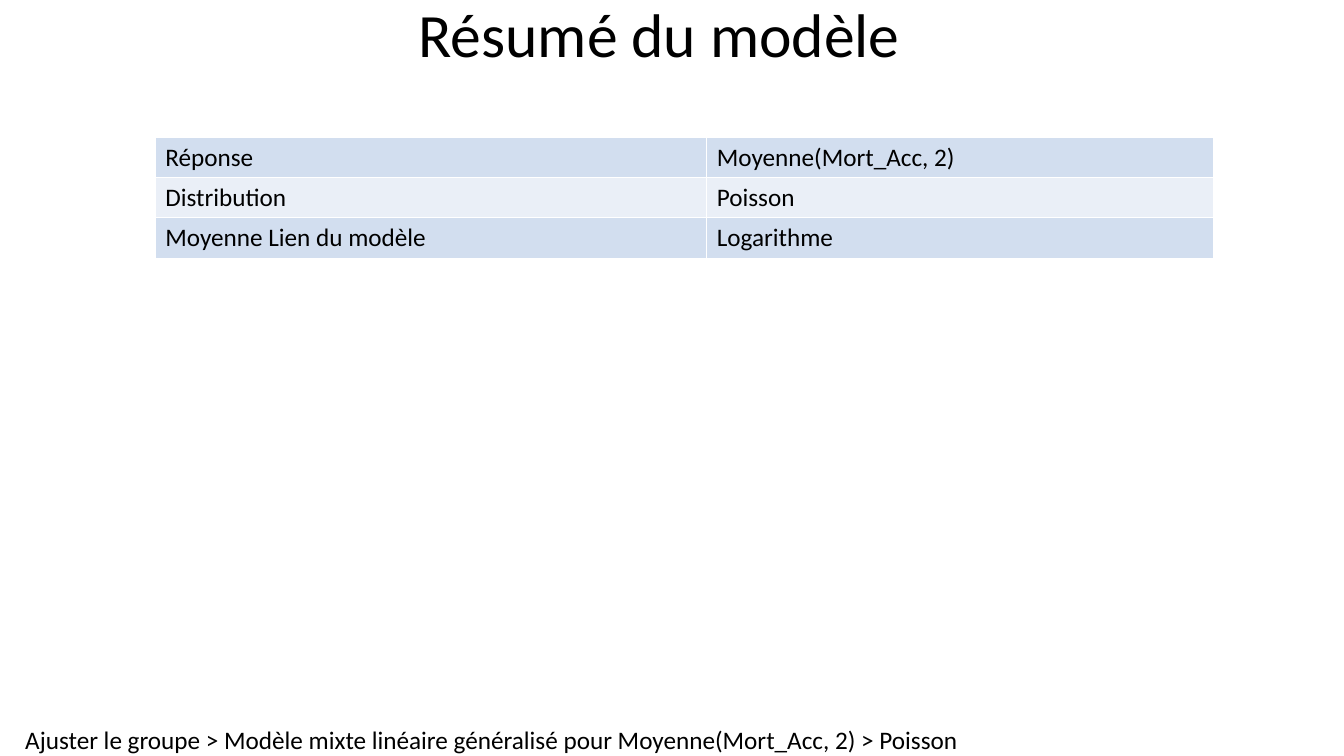
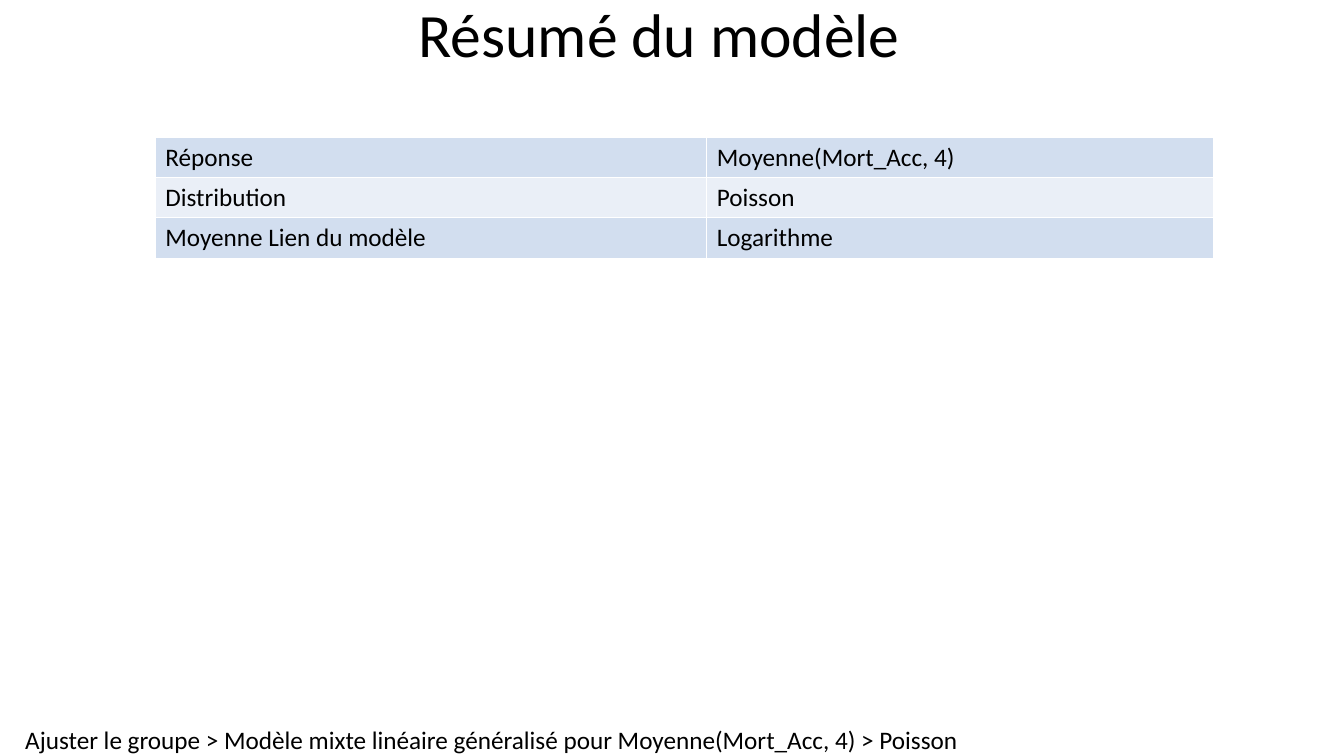
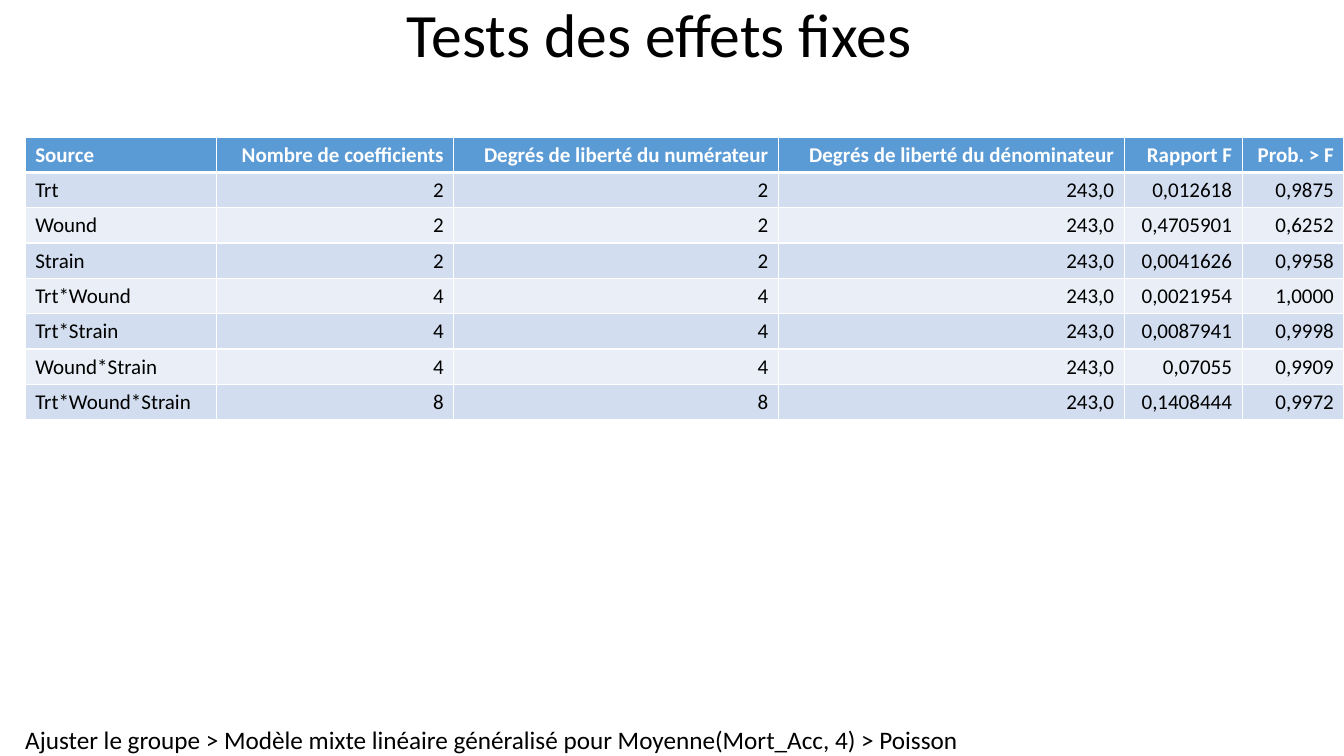
import pptx
import pptx.dml.color
import pptx.enum.text
import pptx.oxml
import pptx.oxml.ns
import pptx.util
from pptx.util import Inches

# Shared style
FONT = "Calibri"
BLACK, WHITE = "000000", "FFFFFF"
HEADER_FILL = "5B9BD5"
BAND_FILLS = ("D2DEEF", "EAEFF7")
TABLE_TOP = 1.36
ALIGN = pptx.enum.text.PP_ALIGN
ANCHOR = pptx.enum.text.MSO_ANCHOR
AUTO_SIZE = pptx.enum.text.MSO_AUTO_SIZE

# Content
FOOTER = "Ajuster le groupe > Modèle mixte linéaire généralisé pour {} > Poisson"
RESPONSES = ("Moyenne(Mort_Acc, 2)", "Moyenne(Mort_Acc, 4)")
EFFECT_HEADER = ("Source", "Nombre de coefficients", "Degrés de liberté du numérateur",
                 "Degrés de liberté du dénominateur", "Rapport F", "Prob. > F")
EFFECTS = [
    ("Trt", "2", "2", "243,0", "0,012618", "0,9875"),
    ("Wound", "2", "2", "243,0", "0,4705901", "0,6252"),
    ("Strain", "2", "2", "243,0", "0,0041626", "0,9958"),
    ("Trt*Wound", "4", "4", "243,0", "0,0021954", "1,0000"),
    ("Trt*Strain", "4", "4", "243,0", "0,0087941", "0,9998"),
    ("Wound*Strain", "4", "4", "243,0", "0,07055", "0,9909"),
    ("Trt*Wound*Strain", "8", "8", "243,0", "0,1408444", "0,9972"),
]


def summary_rows(response):
    return [("Réponse", response), ("Distribution", "Poisson"),
            ("Moyenne Lien du modèle", "Logarithme")]


SUMMARY_LAYOUT = {"left": 1.54, "widths": (5.47, 5.03), "row_height": 0.4, "size": 18}
EFFECTS_LAYOUT = {"left": 0.25, "widths": (1.9, 2.35, 3.22, 3.43, 1.17, 1.01),
                  "row_height": 0.35, "size": 15, "header": EFFECT_HEADER,
                  "value_align": ALIGN.RIGHT}
SLIDES = [("Résumé du modèle", response, summary_rows(response), SUMMARY_LAYOUT)
          for response in RESPONSES]
SLIDES.append(("Tests des effets fixes", RESPONSES[1], EFFECTS, EFFECTS_LAYOUT))


def color(hex_value):
    return pptx.dml.color.RGBColor.from_string(hex_value)


def write(frame, text, size, hex_value=BLACK, bold=False, align=ALIGN.LEFT):
    frame.text = text
    para = frame.paragraphs[0]
    para.alignment = align
    font = para.runs[0].font
    font.name, font.size, font.bold = FONT, pptx.util.Pt(size), bold
    font.color.rgb = color(hex_value)
    return para


def add_title(page, text):
    title = page.shapes.title
    title.left, title.top = Inches(0), Inches(0)
    title.width, title.height = Inches(13.08), Inches(0.75)
    frame = title.text_frame
    frame.auto_size = AUTO_SIZE.NONE
    frame.vertical_anchor = ANCHOR.MIDDLE
    write(frame, text, 44, align=ALIGN.CENTER).line_spacing = 0.9


def add_footer(page, response):
    box = page.shapes.add_textbox(Inches(0.25), Inches(7.19), Inches(9.29), Inches(0.31))
    frame = box.text_frame
    frame.margin_left = frame.margin_top = frame.margin_right = frame.margin_bottom = 0
    frame.word_wrap = False
    frame.auto_size = AUTO_SIZE.SHAPE_TO_FIT_TEXT
    write(frame, FOOTER.format(response), 18)


def set_borders(cell, bottom_width):
    properties = cell._tc.get_or_add_tcPr()
    widths = {"lnL": 1, "lnR": 1, "lnT": 1, "lnB": bottom_width}
    for position, (tag, width) in enumerate(widths.items()):
        properties.insert(position, pptx.oxml.parse_xml(
            f'<a:{tag} {pptx.oxml.ns.nsdecls("a")} w="{pptx.util.Pt(width)}">'
            f'<a:solidFill><a:srgbClr val="{WHITE}"/></a:solidFill></a:{tag}>'))


def add_table(page, body, left, widths, row_height, size, header=None,
              value_align=ALIGN.LEFT):
    rows = ([header] if header else []) + body
    table = page.shapes.add_table(
        len(rows), len(widths), Inches(left), Inches(TABLE_TOP),
        Inches(sum(widths)), Inches(row_height * len(rows))).table
    table.first_row = header is not None
    table.horz_banding = False
    for column, width in zip(table.columns, widths):
        column.width = Inches(width)
    first_body_row = len(rows) - len(body)
    for row_index, row in enumerate(rows):
        table.rows[row_index].height = Inches(row_height)
        is_header = row_index < first_body_row
        fill = HEADER_FILL if is_header else BAND_FILLS[(row_index - first_body_row) % 2]
        for column_index, text in enumerate(row):
            cell = table.cell(row_index, column_index)
            cell.fill.solid()
            cell.fill.fore_color.rgb = color(fill)
            set_borders(cell, 3 if is_header else 1)
            write(cell.text_frame, text, size, WHITE if is_header else BLACK,
                  is_header, value_align if column_index else ALIGN.LEFT)


def main():
    deck = pptx.Presentation()
    deck.slide_width, deck.slide_height = Inches(13.33), Inches(7.5)
    title_only = deck.slide_layouts[5]
    for title, response, body, layout in SLIDES:
        page = deck.slides.add_slide(title_only)
        add_footer(page, response)
        add_title(page, title)
        add_table(page, body, **layout)
    deck.save("out.pptx")


if __name__ == "__main__":
    main()
